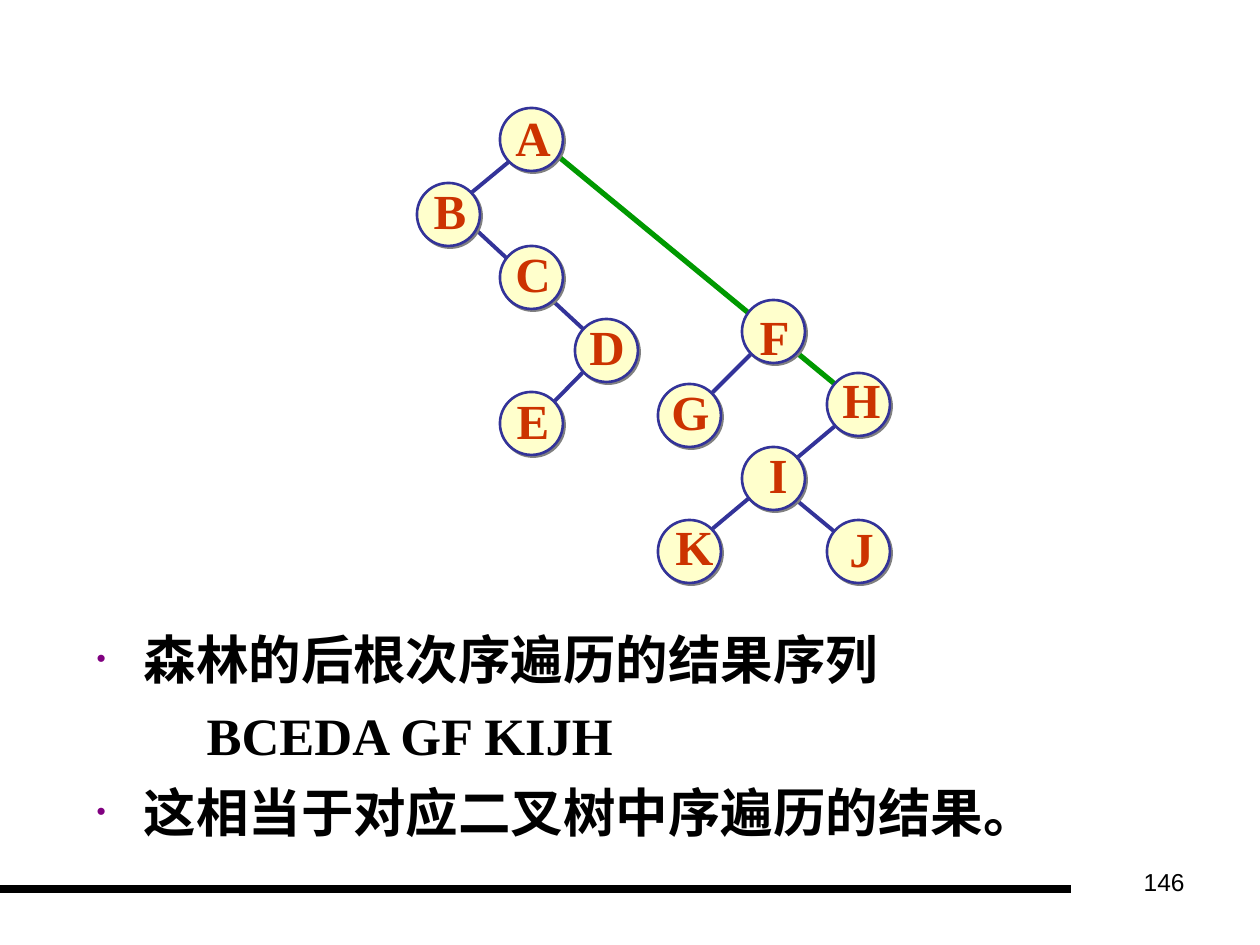
from dataclasses import dataclass
from typing import NamedTuple

from lxml import etree
from pptx import Presentation
from pptx.dml.color import RGBColor
from pptx.enum.shapes import MSO_CONNECTOR, MSO_SHAPE
from pptx.enum.text import MSO_ANCHOR, MSO_AUTO_SIZE, PP_ALIGN
from pptx.oxml.ns import qn
from pptx.util import Emu, Pt

STRAIGHT = MSO_CONNECTOR.STRAIGHT
OVAL = MSO_SHAPE.OVAL
MIDDLE = MSO_ANCHOR.MIDDLE
NO_FIT = MSO_AUTO_SIZE.NONE
CENTER, RIGHT = PP_ALIGN.CENTER, PP_ALIGN.RIGHT

PX_PER_INCH = 126
NODE_SIZE = 63
LABEL_HEIGHT = 72
BODY_INDENT = 47


def px(length: int) -> Emu:
    return Emu(round(length * 914400 / PX_PER_INCH))


@dataclass(frozen=True)
class Theme:
    serif: str = "Times New Roman"
    sans: str = "Arial"
    text: str = "000000"
    letter: str = "CC3300"
    node_fill: str = "FFFFCC"
    branch: str = "333399"
    root_branch: str = "009900"
    shadow: str = "808080"
    bullet: str = "800080"
    body_size: int = 30
    letter_size: int = 28
    number_size: int = 14


THEME = Theme()


class Node(NamedTuple):
    letter: str
    left: int
    top: int
    label_left: int
    label_top: int
    label_width: int


class Line(NamedTuple):
    x1: int
    y1: int
    x2: int
    y2: int
    color: str = THEME.branch
    width: float = 2.25


class BodyLine(NamedTuple):
    text: str
    bulleted: bool = True


NODES = [
    Node("A", 500, 108, 503, 101, 60),
    Node("B", 417, 183, 421, 174, 58),
    Node("C", 500, 246, 503, 237, 60),
    Node("D", 575, 319, 577, 310, 60),
    Node("E", 500, 392, 504, 384, 58),
    Node("F", 742, 300, 747, 300, 55),
    Node("G", 658, 384, 659, 375, 63),
    Node("H", 827, 373, 830, 363, 63),
    Node("I", 742, 447, 756, 438, 44),
    Node("J", 827, 520, 837, 512, 49),
    Node("K", 658, 520, 663, 510, 63),
]
# Each branch may run straight through an intermediate node
BRANCHES = [
    Line(553, 152, 847, 394, THEME.root_branch, 3),  # A-F-H
    Line(595, 360, 543, 413),  # D-E
    Line(459, 214, 595, 340),  # B-C-D
    Line(522, 151, 459, 203),  # A-B
    Line(795, 499, 847, 542),  # I-J
    Line(847, 416, 711, 530),  # H-I-K
    Line(764, 341, 701, 404),  # F-G
]
FOOTER_RULE = Line(0, 889, 1071, 889, THEME.text, 4.5)
BODY = [
    BodyLine("森林的后根次序遍历的结果序列"),
    BodyLine("\t\tBCEDA GF KIJH", bulleted=False),
    BodyLine("这相当于对应二叉树中序遍历的结果。"),
]


def rgb(color: str) -> RGBColor:
    return RGBColor.from_string(color)


def style_font(font, name: str, size: int, color: str, bold: bool) -> None:
    font.name, font.size, font.bold = name, Pt(size), bold
    font.color.rgb = rgb(color)


def add_line(slide, line: Line) -> None:
    connector = slide.shapes.add_connector(
        STRAIGHT, px(line.x1), px(line.y1), px(line.x2), px(line.y2))
    connector.line.color.rgb = rgb(line.color)
    connector.line.width = Pt(line.width)
    etree.SubElement(connector._element.spPr, qn("a:effectLst"))


def add_shadow(shape) -> None:
    shape.shadow.inherit = False
    effects = shape._element.spPr.find(qn("a:effectLst"))
    shadow = etree.SubElement(effects, qn("a:outerShdw"), blurRad="0",
                              dist=str(Pt(1.4)), dir="2700000", algn="ctr")
    etree.SubElement(shadow, qn("a:srgbClr"), val=THEME.shadow)


def add_node(slide, node: Node) -> None:
    circle = slide.shapes.add_shape(
        OVAL, px(node.left), px(node.top), px(NODE_SIZE), px(NODE_SIZE))
    circle.fill.solid()
    circle.fill.fore_color.rgb = rgb(THEME.node_fill)
    circle.line.color.rgb = rgb(THEME.branch)
    circle.line.width = Pt(1.5)
    add_shadow(circle)
    label = slide.shapes.add_textbox(
        px(node.label_left), px(node.label_top), px(node.label_width), px(LABEL_HEIGHT))
    label.text_frame.word_wrap = False
    label.text_frame.vertical_anchor = MIDDLE
    label.text_frame.text = node.letter
    paragraph = label.text_frame.paragraphs[0]
    paragraph.alignment = CENTER
    style_font(paragraph.runs[0].font, THEME.serif, THEME.letter_size, THEME.letter, True)


def format_body_line(paragraph, bulleted: bool) -> None:
    properties = paragraph._p.get_or_add_pPr()
    properties.set("marL", str(px(BODY_INDENT)))
    properties.set("indent", str(-px(BODY_INDENT)))
    if bulleted:
        color = etree.SubElement(properties, qn("a:buClr"))
        etree.SubElement(color, qn("a:srgbClr"), val=THEME.bullet)
        etree.SubElement(properties, qn("a:buSzPct"), val="50000")
        etree.SubElement(properties, qn("a:buChar"), char="•")
    else:
        etree.SubElement(properties, qn("a:buNone"))
        tabs = etree.SubElement(properties, qn("a:tabLst"))
        for inch in range(2):
            etree.SubElement(tabs, qn("a:tab"), pos=str(px(inch * PX_PER_INCH)), algn="l")


def fill_body(placeholder) -> None:
    placeholder.left, placeholder.top = px(84), px(621)
    placeholder.width, placeholder.height = px(1134), px(258)
    frame = placeholder.text_frame
    frame.auto_size = NO_FIT
    for index, line in enumerate(BODY):
        paragraph = frame.add_paragraph() if index else frame.paragraphs[0]
        paragraph.text = line.text
        format_body_line(paragraph, line.bulleted)
        paragraph.space_before = Pt(7.5 if index else 0)
        for run in paragraph.runs:
            style_font(run.font, THEME.serif, THEME.body_size, THEME.text, True)


def add_slide_number(slide, number: str) -> None:
    box = slide.shapes.add_textbox(px(903), px(861), px(294), px(66))
    box.text_frame.word_wrap = True
    box.text_frame.text = number
    paragraph = box.text_frame.paragraphs[0]
    paragraph.alignment = RIGHT
    style_font(paragraph.runs[0].font, THEME.sans, THEME.number_size, THEME.text, False)


def main() -> None:
    presentation = Presentation()
    presentation.slide_width, presentation.slide_height = px(1260), px(945)
    slide = presentation.slides.add_slide(presentation.slide_layouts[1])
    title = slide.shapes.title._element
    title.getparent().remove(title)

    # Footer
    add_line(slide, FOOTER_RULE)
    add_slide_number(slide, "146")

    # Binary tree: branches behind nodes
    for branch in BRANCHES:
        add_line(slide, branch)
    for node in NODES:
        add_node(slide, node)

    # Traversal result
    fill_body(slide.placeholders[1])
    presentation.save("out.pptx")


if __name__ == "__main__":
    main()
